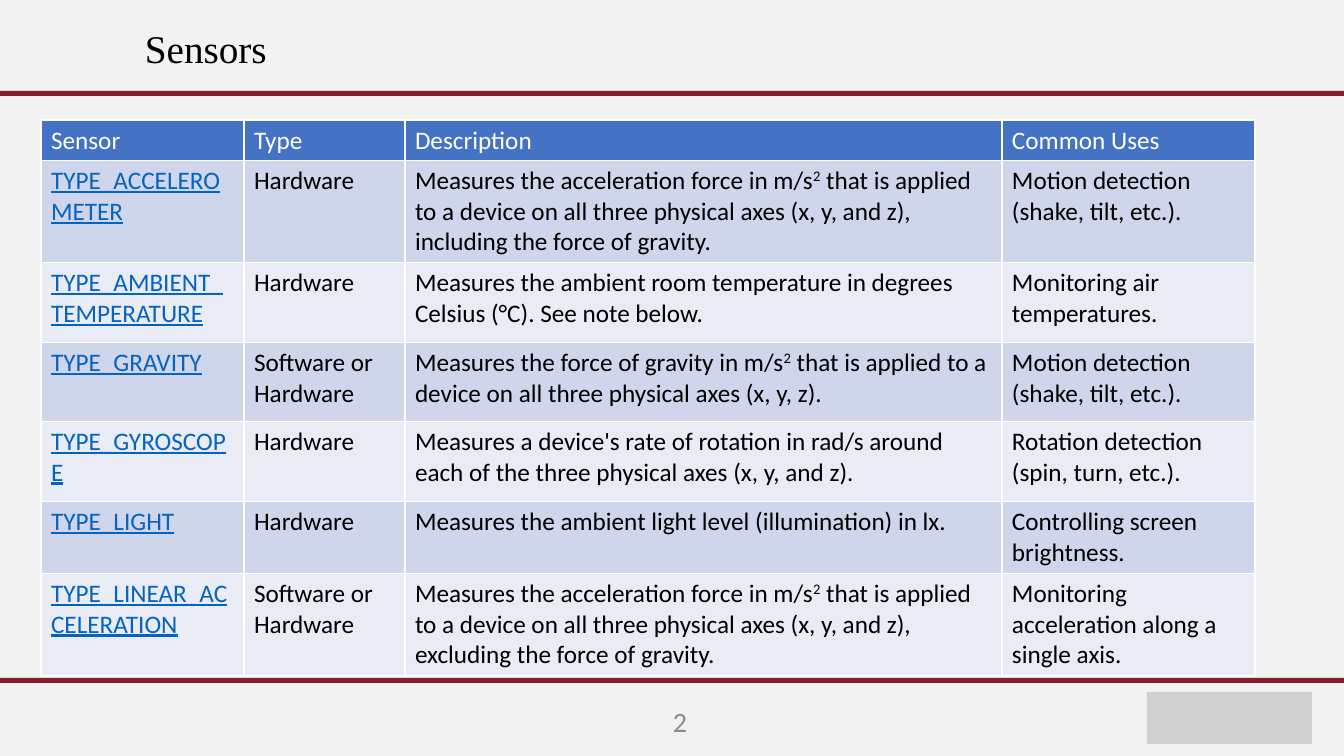
from lxml import etree
from pptx import Presentation
from pptx import util as u
from pptx.dml.color import RGBColor
from pptx.enum import shapes, text
from pptx.oxml.ns import qn

PX = u.Inches(1) / 100.8
BLACK = RGBColor(0x00, 0x00, 0x00)
WHITE = RGBColor(0xFF, 0xFF, 0xFF)
PAPER = RGBColor(0xF2, 0xF2, 0xF2)
CRIMSON = RGBColor(0x88, 0x1C, 0x2B)
GREY = RGBColor(0x8C, 0x8C, 0x8C)
PALE_GREY = RGBColor(0xD0, 0xD0, 0xD0)
HEADER = RGBColor(0x44, 0x72, 0xC4)
BANDS = (RGBColor(0xCF, 0xD5, 0xEA), RGBColor(0xE9, 0xEB, 0xF5))
LINK = RGBColor(0x05, 0x63, 0xC1)

COLUMNS = (203, 161, 597, 253)
ROW_HEIGHTS = (40, 102, 80, 79, 80, 72, 102)
SENSORS = (
    ("Sensor", "Type", "Description", "Common Uses"),
    ("TYPE_ACCELEROMETER", "Hardware",
     "Measures the acceleration force in m/s² that is applied to a device "
     "on all three physical axes (x, y, and z), including the force of gravity.",
     "Motion detection (shake, tilt, etc.)."),
    ("TYPE_AMBIENT_TEMPERATURE", "Hardware",
     "Measures the ambient room temperature in degrees Celsius (°C). See note below.",
     "Monitoring air temperatures."),
    ("TYPE_GRAVITY", "Software or Hardware",
     "Measures the force of gravity in m/s² that is applied to a device "
     "on all three physical axes (x, y, z).",
     "Motion detection (shake, tilt, etc.)."),
    ("TYPE_GYROSCOPE", "Hardware",
     "Measures a device's rate of rotation in rad/s around each of the three "
     "physical axes (x, y, and z).",
     "Rotation detection (spin, turn, etc.)."),
    ("TYPE_LIGHT", "Hardware",
     "Measures the ambient light level (illumination) in lx.",
     "Controlling screen brightness."),
    ("TYPE_LINEAR_ACCELERATION", "Software or Hardware",
     "Measures the acceleration force in m/s² that is applied to a device "
     "on all three physical axes (x, y, and z), excluding the force of gravity.",
     "Monitoring acceleration along a single axis."),
)


def px(*lengths):
    return [u.Emu(round(n * PX)) for n in lengths]


class Deck:
    serif = "Times New Roman"
    sans = "Calibri"

    def __init__(self):
        self.prs = Presentation()
        self.prs.slide_width, self.prs.slide_height = px(1344, 756)
        self.s = self.prs.slides.add_slide(self.prs.slide_layouts[6])

    def rect(self, box, color):
        sp = self.s.shapes.add_shape(shapes.MSO_SHAPE.RECTANGLE, *px(*box))
        sp.shadow.inherit = False
        sp.fill.solid()
        sp.fill.fore_color.rgb = color
        sp.line.fill.background()

    def style(self, p, font, size, color, underline=False):
        for r in p.runs:
            r.font.name = font
            r.font.size = u.Pt(size)
            r.font.color.rgb = color
            r.font.bold = False
            r.font.underline = underline

    def label(self, box, words, font, size, color,
              align=text.PP_ALIGN.LEFT, spacing=1.0):
        tf = self.s.shapes.add_textbox(*px(*box)).text_frame
        tf.word_wrap = True
        tf.vertical_anchor = text.MSO_ANCHOR.MIDDLE
        tf.text = words
        p = tf.paragraphs[0]
        p.alignment = align
        p.line_spacing = spacing
        self.style(p, font, size, color)

    def borders(self, cell):
        tc_pr = cell._tc.get_or_add_tcPr()
        for i, side in enumerate("LRTB"):
            ln = etree.Element(qn("a:ln" + side), w=str(u.Pt(1)))
            fill = etree.SubElement(ln, qn("a:solidFill"))
            etree.SubElement(fill, qn("a:srgbClr"), val=str(WHITE))
            tc_pr.insert(i, ln)

    def cell(self, cell, words, fill, color, underline=False):
        cell.fill.solid()
        cell.fill.fore_color.rgb = fill
        self.borders(cell)
        p = cell.text_frame.paragraphs[0]
        before, square, after = words.partition("²")
        p.text = before
        if square:
            r = p.add_run()
            r.text = "2"
            r.font._element.set("baseline", "30000")
            p.add_run().text = after
        self.style(p, self.sans, 18, color, underline)

    def table(self, left, top, widths, heights, rows):
        box = px(left, top, sum(widths), sum(heights))
        table = self.s.shapes.add_table(len(rows), len(widths), *box).table
        for column, width in zip(table.columns, px(*widths)):
            column.width = width
        for row, height in zip(table.rows, px(*heights)):
            row.height = height
        for i, row in enumerate(rows):
            for j, words in enumerate(row):
                cell = table.cell(i, j)
                if i == 0:
                    self.cell(cell, words, HEADER, WHITE)
                    cell.vertical_anchor = text.MSO_ANCHOR.MIDDLE
                else:
                    is_link = j == 0
                    self.cell(cell, words, BANDS[(i - 1) % 2],
                              LINK if is_link else BLACK, is_link)


def main():
    deck = Deck()
    deck.rect((0, 0, 1344, 756), PAPER)
    deck.rect((1147, 692, 165, 52), PALE_GREY)
    for top in (91, 678):
        deck.rect((0, top, 1344, 5), CRIMSON)
    deck.label((135, 8, 1159, 86), "Sensors", deck.serif, 28, BLACK, spacing=0.9)
    deck.label((395, 701, 302, 40), "2", deck.sans, 20, GREY,
               align=text.PP_ALIGN.RIGHT)
    deck.table(41, 120, COLUMNS, ROW_HEIGHTS, SENSORS)
    deck.prs.save("out.pptx")


if __name__ == "__main__":
    main()
